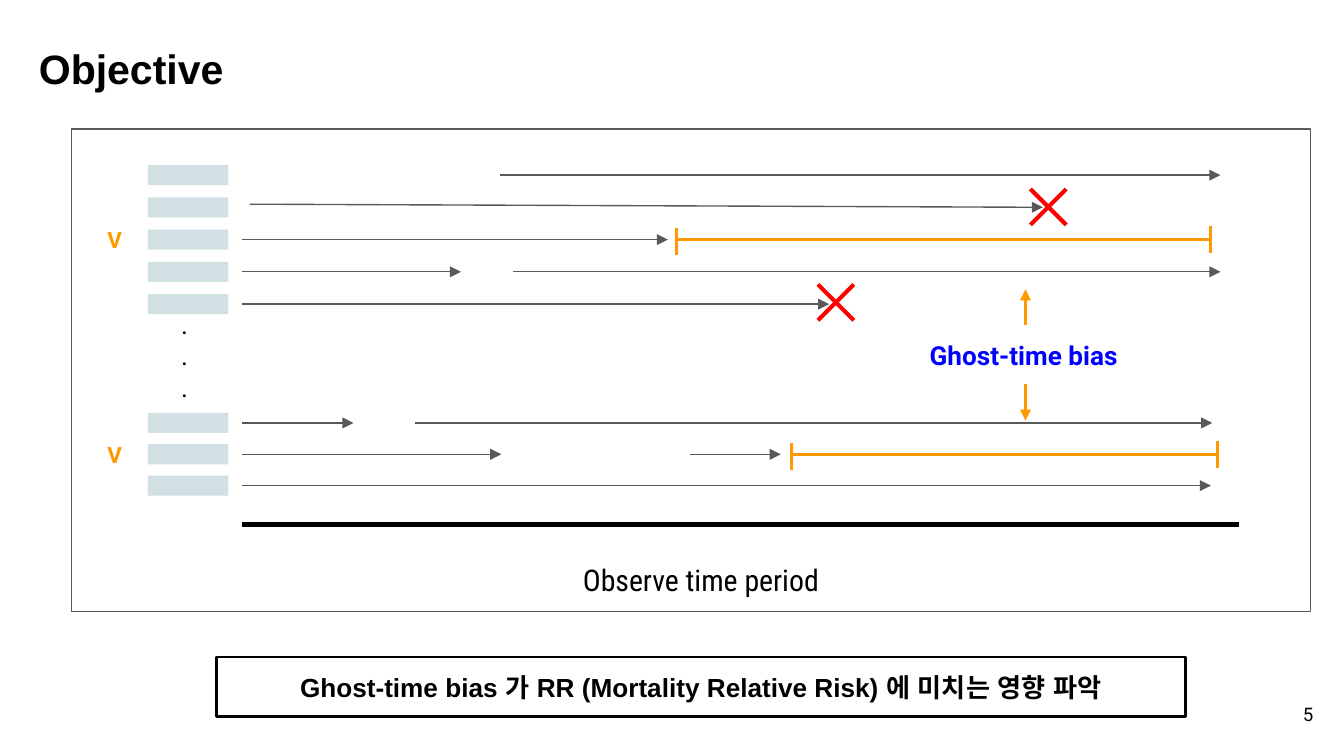
from lxml import etree
from pptx import Presentation
from pptx.dml.color import RGBColor
from pptx.enum.shapes import MSO_CONNECTOR, MSO_SHAPE
from pptx.enum.text import MSO_ANCHOR, PP_ALIGN
from pptx.oxml.ns import qn
from pptx.util import Pt

BLACK = RGBColor(0x00, 0x00, 0x00)
GREY = RGBColor(0x59, 0x59, 0x59)
PALE = RGBColor(0xD0, 0xE0, 0xE3)
ORANGE = RGBColor(0xFF, 0x99, 0x00)
RED = RGBColor(0xFF, 0x00, 0x00)
BLUE = RGBColor(0x00, 0x00, 0xFF)

prs = Presentation()
prs.slide_width, prs.slide_height = Pt(720), Pt(405)
slide = prs.slides.add_slide(prs.slide_layouts[5])
shapes = slide.shapes


def add_line(x1, y1, x2, y2, color, width, arrow=False):
    line = shapes.add_connector(MSO_CONNECTOR.STRAIGHT, Pt(x1), Pt(y1), Pt(x2), Pt(y2))
    line.line.color.rgb = color
    line.line.width = Pt(width)
    if arrow:
        etree.SubElement(line.line._get_or_add_ln(), qn("a:tailEnd"), type="triangle")
    etree.SubElement(line._element.spPr, qn("a:effectLst"))


def write(shape, text, size, font, color, bold=False, align=PP_ALIGN.LEFT, wrap=True):
    frame = shape.text_frame
    frame.text = text
    frame.word_wrap = wrap
    frame.vertical_anchor = MSO_ANCHOR.MIDDLE
    frame.margin_left = frame.margin_right = Pt(7.2)
    frame.margin_top = frame.margin_bottom = Pt(7.2)
    for paragraph in frame.paragraphs:
        paragraph.alignment = align
        for run in paragraph.runs:
            run.font.size = Pt(size)
            run.font.name = font
            run.font.bold = bold
            run.font.color.rgb = color
            # Korean text takes the same typeface
            etree.SubElement(run.font._element, qn("a:ea"), typeface=font)


# Title
title = shapes.title
title.left, title.top, title.width, title.height = Pt(13.7), Pt(15.8), Pt(141), Pt(41)
write(title, "Objective", 22, "Arial", BLACK, bold=True)

# Diagram frame
frame_box = shapes.add_shape(MSO_SHAPE.RECTANGLE, Pt(38.2), Pt(69.1), Pt(663.8), Pt(258.5))
frame_box.shadow.inherit = False
frame_box.fill.background()
frame_box.line.color.rgb = GREY
frame_box.line.width = Pt(0.75)

# Patient rows: five above the dots, three below
rows = [93.8 + 17.28 * i for i in range(5)] + [226.6 + 16.8 * i for i in range(3)]
for y in rows:
    patient = shapes.add_shape(MSO_SHAPE.RECTANGLE, Pt(79.2), Pt(y - 5.4), Pt(43.2), Pt(10.8))
    patient.shadow.inherit = False
    patient.fill.solid()
    patient.fill.fore_color.rgb = PALE
    patient.line.fill.background()

# Observed periods of each patient: row, start, end
START = 129.6
observed = [
    (0, 267.8, 653.8),
    (2, START, 357.8),
    (3, START, 247), (3, 275, 653.8),
    (4, START, 444.2),
    (5, START, 189.4), (5, 222.5, 649.4),
    (6, START, 268.6), (6, 369.4, 418.3),
    (7, START, 648.7),
]
for row, start, end in observed:
    add_line(start, rows[row], end, rows[row], GREY, 0.75, arrow=True)
add_line(133.9, 109.4, 558.7, rows[1], GREY, 0.75, arrow=True)

# Ghost times, with end bars, and the patients marked V
for row, start, end in [(2, 362.5, 648.7), (6, 424.1, 652.3)]:
    y = rows[row]
    add_line(start, y, end, y, ORANGE, 1.5)
    add_line(start, y - 6, start, y + 8.4, ORANGE, 1.5)
    add_line(end, y - 7.2, end, y + 7.2, ORANGE, 1.5)
    mark = shapes.add_textbox(Pt(50.4), Pt(y - 14.4), Pt(21.6), Pt(28.8))
    write(mark, "V", 12, "Roboto", ORANGE, bold=True, wrap=False)

# Deaths
for x, y in [(447.8, 162), (561.6, 110.9)]:
    add_line(x - 9.6, y - 9.6, x + 9.6, y + 9.6, RED, 2.25)
    add_line(x + 9.6, y - 9.6, x - 9.6, y + 9.6, RED, 2.25)

# Rows left out
dots = shapes.add_textbox(Pt(90), Pt(157.7), Pt(21.6), Pt(65.5))
write(dots, ".\n.\n.", 14, "Roboto", BLACK)

# Time axis
add_line(START, 281, 663.8, 281, BLACK, 2.25)
axis_label = shapes.add_textbox(Pt(295.2), Pt(293.8), Pt(160.6), Pt(33.8))
write(axis_label, "Observe time period", 16, "Roboto Condensed", BLACK, align=PP_ALIGN.CENTER)

# Bias label, pointing at the ghost times above and below
bias = shapes.add_textbox(Pt(491), Pt(174.2), Pt(117.4), Pt(31.7))
write(bias, "Ghost-time bias", 14, "Roboto", BLUE, bold=True, wrap=False)
for start, end in [(174.2, 155), (205.9, 225.4)]:
    add_line(549.4, start, 549.4, end, ORANGE, 1.5, arrow=True)

# Objective statement
goal = shapes.add_shape(MSO_SHAPE.RECTANGLE, Pt(115.9), Pt(352), Pt(519.1), Pt(31.7))
goal.shadow.inherit = False
goal.fill.background()
goal.line.color.rgb = BLACK
goal.line.width = Pt(1.5)
write(goal, "Ghost-time bias 가 RR (Mortality Relative Risk) 에 미치는 영향 파악",
      14, "Arial", BLACK, bold=True, align=PP_ALIGN.CENTER)

# Page number
page = shapes.add_textbox(Pt(667.4), Pt(367.2), Pt(43.2), Pt(31))
write(page, "5", 10, "Roboto", BLACK, align=PP_ALIGN.RIGHT)

prs.save("out.pptx")
